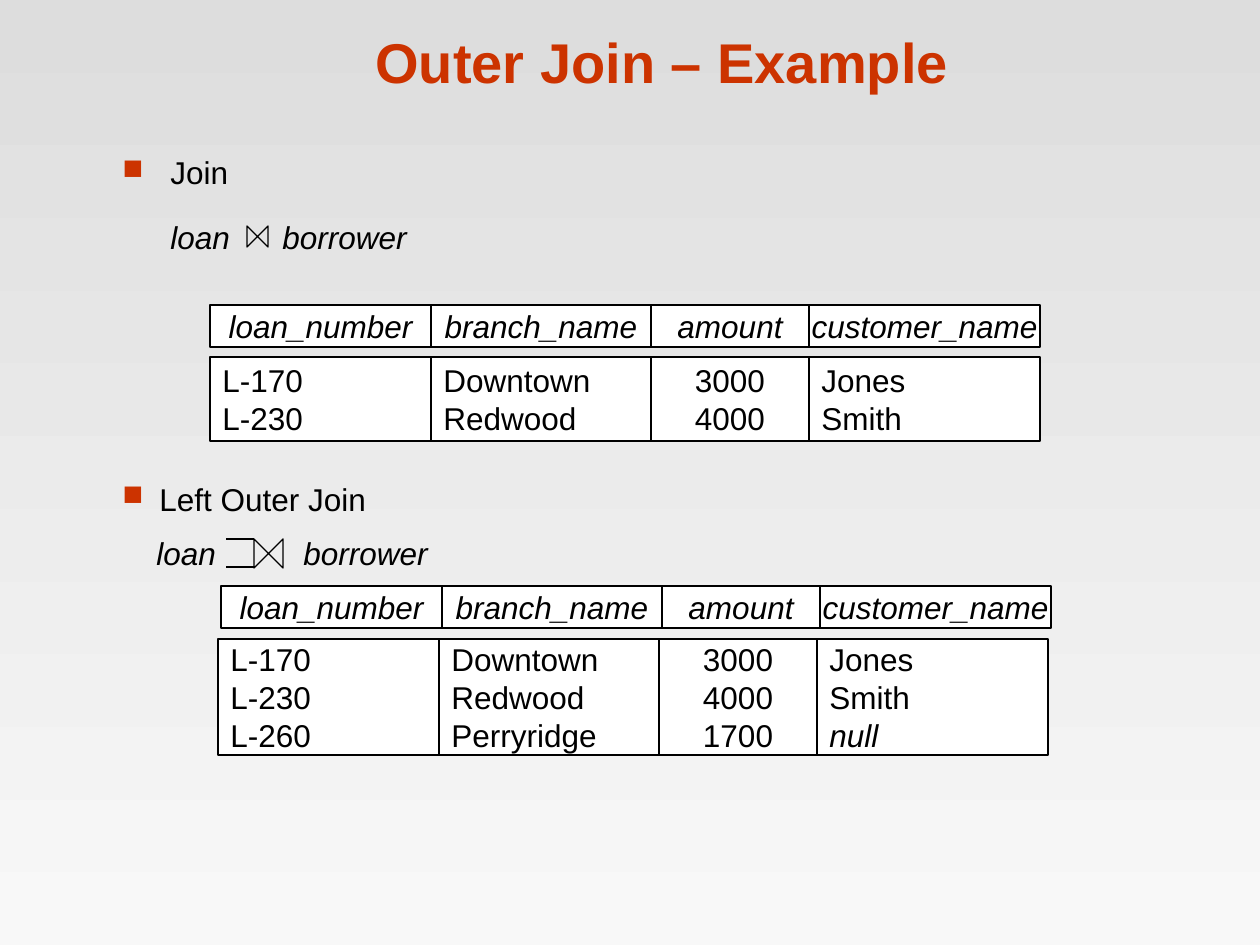
from lxml.etree import SubElement
from pptx import Presentation
from pptx.dml.color import RGBColor
from pptx.enum.shapes import MSO_CONNECTOR, MSO_SHAPE
from pptx.enum.text import MSO_ANCHOR, PP_ALIGN
from pptx.oxml.ns import qn
from pptx.util import Pt

SCALE = 914400 / 126
COLORS = {
    "title": "CC3300",
    "text": "000000",
    "cell": "FFFFFF",
    "top": "DDDDDD",
    "bottom": "F8F8F8",
}


def px(*lengths):
    return [round(length * SCALE) for length in lengths]


def add_span(para, text, size=18, color="text", bold=False, italic=False):
    span = para.add_run()
    span.text = text
    span.font.name = "Arial"
    span.font.size = Pt(size)
    span.font.bold = bold
    span.font.italic = italic
    span.font.color.rgb = RGBColor.from_string(COLORS[color])


deck = Presentation()
deck.slide_width, deck.slide_height = px(1260, 945)
page = deck.slides.add_slide(deck.slide_layouts[6])
black = RGBColor.from_string(COLORS["text"])

backdrop = page.background.fill
backdrop.gradient()
backdrop.gradient_angle = 270
for stop, name in zip(backdrop.gradient_stops, ("top", "bottom")):
    stop.color.rgb = RGBColor.from_string(COLORS[name])

title = page.shapes.add_textbox(*px(106, 16, 1112, 85)).text_frame
title.word_wrap = True
title.vertical_anchor = MSO_ANCHOR.BOTTOM
title.paragraphs[0].alignment = PP_ALIGN.CENTER
add_span(title.paragraphs[0], "Outer Join – Example", 32, "title", bold=True)

sections = [
    ("Join", (110, 151, 964, 116), 48, (48, 160), 0.9, 18),
    ("Left Outer Join", (110, 474, 583, 102), 37, (34, 181), 1.0, 9),
]
for heading, place, indent, tabs, line_spacing, gap in sections:
    frame = page.shapes.add_textbox(*px(*place)).text_frame
    frame.word_wrap = True

    para = frame.paragraphs[0]
    props = para._p.get_or_add_pPr()
    props.set("marL", str(px(indent)[0]))
    props.set("indent", str(px(-indent)[0]))
    bullet_color = SubElement(props, qn("a:buClr"))
    SubElement(bullet_color, qn("a:srgbClr"), val=COLORS["title"])
    SubElement(props, qn("a:buSzPct"), val="90000")
    SubElement(props, qn("a:buChar"), char="■")
    para.line_spacing = line_spacing
    add_span(para, heading)

    para = frame.add_paragraph()
    tab_list = SubElement(para._p.get_or_add_pPr(), qn("a:tabLst"))
    for tab in tabs:
        SubElement(tab_list, qn("a:tab"), pos=str(px(tab)[0]), algn="l")
    para.line_spacing = line_spacing
    para.space_before = Pt(gap)
    add_span(para, "\tloan\tborrower", italic=True)

columns = [
    ("loan_number", 221, PP_ALIGN.LEFT, ("L-170", "L-230", "L-260")),
    ("branch_name", 220, PP_ALIGN.LEFT, ("Downtown", "Redwood", "Perryridge")),
    ("amount", 158, PP_ALIGN.CENTER, ("3000", "4000", "1700")),
    ("customer_name", 231, PP_ALIGN.LEFT, ("Jones", "Smith", "null")),
]
bands = [
    (210, 305, 42, 0),
    (210, 357, 84, 2),
    (221, 586, 42, 0),
    (218, 639, 116, 3),
]
for left, top, height, row_count in bands:
    for name, width, alignment, values in columns:
        box = page.shapes.add_shape(MSO_SHAPE.RECTANGLE, *px(left, top, width, height))
        box.shadow.inherit = False
        box.fill.solid()
        box.fill.fore_color.rgb = RGBColor.from_string(COLORS["cell"])
        box.line.color.rgb = black
        box.line.width = Pt(0.75)
        frame = box.text_frame
        frame.word_wrap = row_count > 0
        frame.vertical_anchor = MSO_ANCHOR.MIDDLE
        for index, text in enumerate(values[:row_count] or [name]):
            para = frame.add_paragraph() if index else frame.paragraphs[0]
            para.alignment = alignment if row_count else PP_ALIGN.CENTER
            add_span(para, text, italic=row_count == 0 or text == "null")
        left += width

for left, top, size in [(247, 226, 21), (254, 539, 29)]:
    bowtie = page.shapes.add_shape(MSO_SHAPE.FLOWCHART_COLLATE, *px(left, top, size, size))
    bowtie.rotation = 270
    bowtie.shadow.inherit = False
    bowtie.fill.background()
    bowtie.line.color.rgb = black
    bowtie.line.width = Pt(0.75)

for y in (539, 567):
    bar = page.shapes.add_connector(MSO_CONNECTOR.STRAIGHT, *px(254, y, 226, y))
    bar.line.color.rgb = black
    bar.line.width = Pt(0.75)
    SubElement(bar._element.spPr, qn("a:effectLst"))

deck.save("out.pptx")
